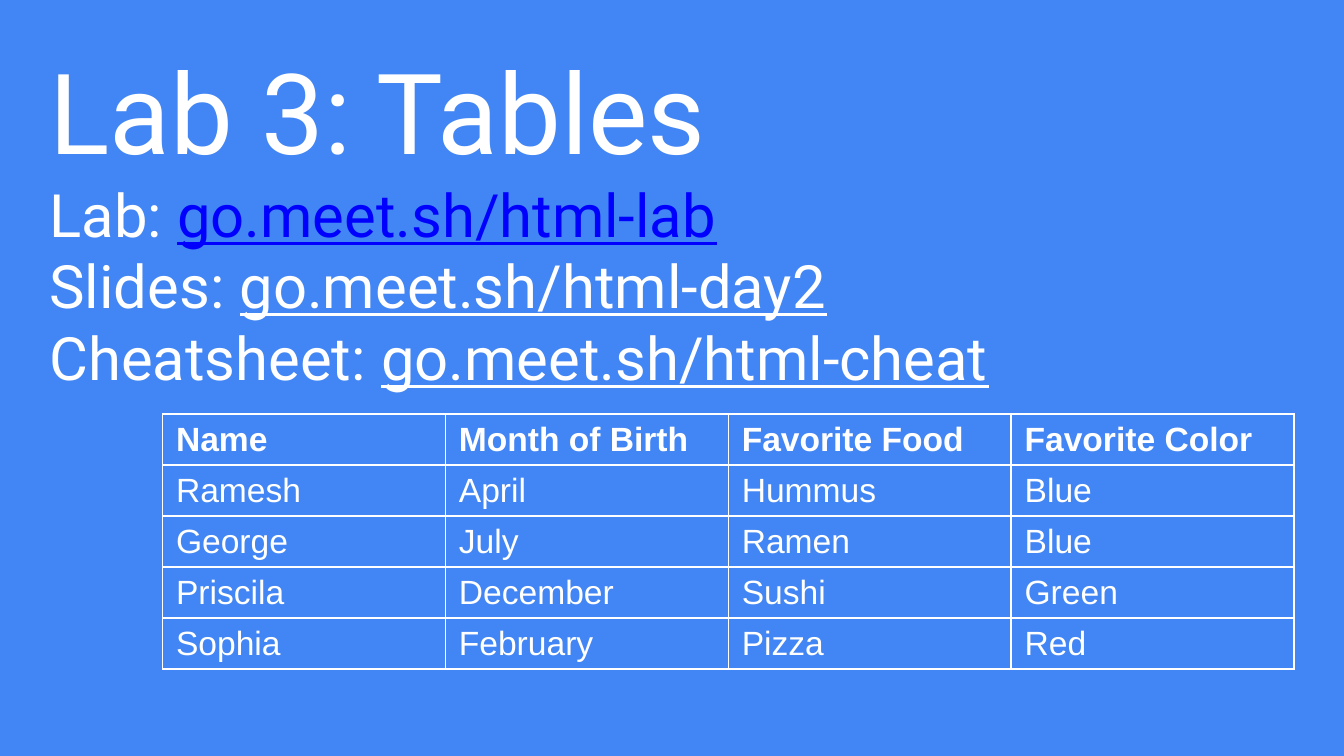
from lxml import etree
from pptx import Presentation
from pptx.dml.color import RGBColor
from pptx.enum import text
from pptx.oxml import ns
from pptx.util import Inches, Pt

COLORS = {"background": "4285F4", "text": "FFFFFF", "link": "0000FF"}
SLIDE_WIDTH = 10
SLIDE_HEIGHT = SLIDE_WIDTH * 9 / 16

# Content: each line is a list of (words, format) runs
TITLE = {"name": "Roboto", "size": Pt(60), "color": "text"}
BODY = {**TITLE, "size": Pt(32)}
ADDRESS = {**BODY, "underline": True}
LINES = [
    [("Lab 3: Tables", TITLE)],
    [("Lab: ", BODY), ("go.meet.sh/html-lab", {**ADDRESS, "color": "link"})],
    [("Slides: ", BODY), ("go.meet.sh/html-day2", ADDRESS)],
    [("Cheatsheet: ", BODY), ("go.meet.sh/html-cheat", ADDRESS)],
]
PEOPLE = [
    ("Name", "Month of Birth", "Favorite Food", "Favorite Color"),
    ("Ramesh", "April", "Hummus", "Blue"),
    ("George", "July", "Ramen", "Blue"),
    ("Priscila", "December", "Sushi", "Green"),
    ("Sophia", "February", "Pizza", "Red"),
]
CELL = {"name": "Arial", "size": Pt(18), "color": "text"}
TABLE_WIDTH, ROW_HEIGHT = 8.42, 0.38


def add_run(paragraph, words, formats):
    run = paragraph.add_run()
    run.text = words
    for key, value in formats.items():
        if key == "color":
            run.font.color.rgb = RGBColor.from_string(COLORS[value])
        else:
            setattr(run.font, key, value)


def add_borders(cell, color, width):
    properties = cell._tc.get_or_add_tcPr()
    for position, side in enumerate(("lnL", "lnR", "lnT", "lnB")):
        line = etree.Element(ns.qn(f"a:{side}"), w=str(width))
        fill = etree.SubElement(line, ns.qn("a:solidFill"))
        etree.SubElement(fill, ns.qn("a:srgbClr"), val=color)
        properties.insert(position, line)


presentation = Presentation()
presentation.slide_width = Inches(SLIDE_WIDTH)
presentation.slide_height = Inches(SLIDE_HEIGHT)
slide = presentation.slides.add_slide(presentation.slide_layouts[6])
slide.background.fill.solid()
slide.background.fill.fore_color.rgb = RGBColor.from_string(COLORS["background"])

# Title and addresses; the deep bottom margin lifts the centred text
box = slide.shapes.add_textbox(Inches(0.27), Inches(1.33), Inches(9.36), Inches(1.11))
frame = box.text_frame
FRAME = {
    "word_wrap": True,
    "auto_size": text.MSO_AUTO_SIZE.NONE,
    "vertical_anchor": text.MSO_ANCHOR.MIDDLE,
    "margin_left": Inches(0.1),
    "margin_right": Inches(0.1),
    "margin_top": Inches(0.1),
    "margin_bottom": Inches(0.63),
}
for key, value in FRAME.items():
    setattr(frame, key, value)
paragraph = frame.paragraphs[0]
for index, line in enumerate(LINES):
    if index:
        paragraph.add_line_break()
    for words, formats in line:
        add_run(paragraph, words, formats)

# Table of people
row_count, column_count = len(PEOPLE), len(PEOPLE[0])
table = slide.shapes.add_table(
    row_count, column_count, Inches(1.21), Inches(3.08),
    Inches(TABLE_WIDTH), Inches(ROW_HEIGHT * row_count),
).table
table.horz_banding = False
for row_index, person in enumerate(PEOPLE):
    table.rows[row_index].height = Inches(ROW_HEIGHT)
    for column_index, words in enumerate(person):
        cell = table.cell(row_index, column_index)
        cell.margin_top = cell.margin_bottom = Inches(0.04)
        cell.vertical_anchor = text.MSO_ANCHOR.MIDDLE
        cell.fill.background()
        add_borders(cell, COLORS["text"], Pt(0.96))
        add_run(cell.text_frame.paragraphs[0], words, {**CELL, "bold": row_index == 0})

presentation.save("out.pptx")
